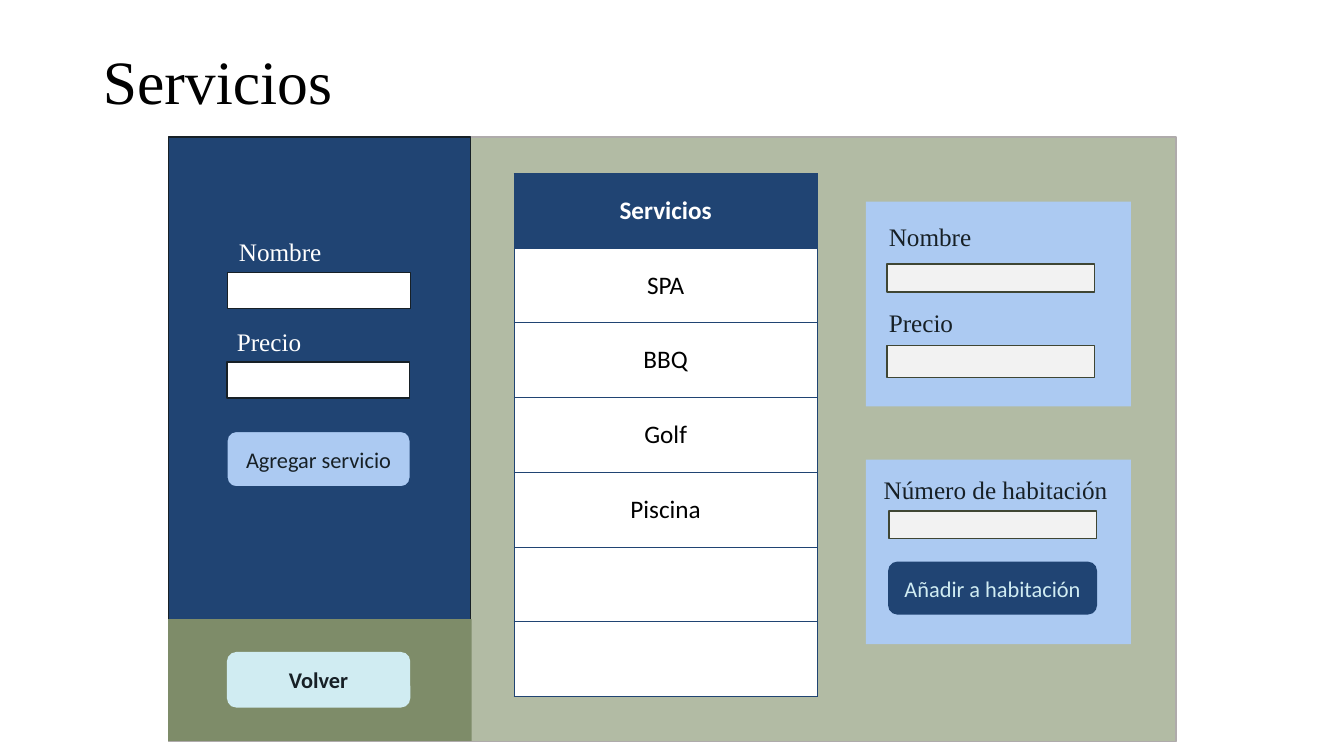
"""Builds the services screen mock-up slide."""
import pptx
import pptx.dml.color
import pptx.enum.shapes
import pptx.enum.text
import pptx.oxml
import pptx.oxml.ns
import pptx.util
from pptx.util import Cm, Pt

COLORS = {
    "sage": "B2BBA4", "grey": "AFABAB", "sky": "ACCAF2", "navy": "204473",
    "ink": "172026", "white": "FFFFFF", "black": "000000", "olive": "7E8C69",
    "ice": "D0ECF2", "pale": "F2F2F2", "moss": "3F4634",
}
RECT = pptx.enum.shapes.MSO_SHAPE.RECTANGLE
ROUNDED = pptx.enum.shapes.MSO_SHAPE.ROUNDED_RECTANGLE
MIDDLE = pptx.enum.text.MSO_ANCHOR.MIDDLE
CENTER = pptx.enum.text.PP_ALIGN.CENTER
SERIF, SANS = "Times New Roman", "Calibri"


def add_block(kind, box, fill, line=None):
    block = slide.shapes.add_shape(kind, *map(Cm, box))
    block.shadow.inherit = False
    block.fill.solid()
    block.fill.fore_color.rgb = pptx.dml.color.RGBColor.from_string(COLORS[fill])
    if line:
        block.line.color.rgb = pptx.dml.color.RGBColor.from_string(COLORS[line])
        block.line.width = Pt(1)
    else:
        block.line.fill.background()
    return block


def write(frame, text, font, size, color, bold=False, align=None):
    frame.text = text
    paragraph = frame.paragraphs[0]
    paragraph.alignment = align
    for run in paragraph.runs:
        run.font.name = font
        run.font.size = Pt(size)
        run.font.bold = bold
        run.font.color.rgb = pptx.dml.color.RGBColor.from_string(COLORS[color])
    return paragraph


presentation = pptx.Presentation()
presentation.slide_width = Cm(33.87)
presentation.slide_height = Cm(19.05)
slide = presentation.slides.add_slide(presentation.slide_layouts[5])

heading = slide.shapes.title
heading.left, heading.top, heading.width, heading.height = map(Cm, (2.34, 1.02, 29.21, 2.24))
heading.text_frame.auto_size = pptx.enum.text.MSO_AUTO_SIZE.NONE
heading.text_frame.vertical_anchor = MIDDLE
heading_line = write(heading.text_frame, "Servicios", SERIF, 44, "black",
                     align=pptx.enum.text.PP_ALIGN.LEFT)
heading_line.line_spacing = 0.9

panels = [
    ((4.24, 3.45, 25.4, 15.24), "sage", "grey"),
    ((4.24, 3.45, 7.62, 12.17), "navy", "ink"),
    ((4.24, 15.6, 7.65, 3.07), "olive", None),
    ((21.82, 5.08, 6.68, 5.16), "sky", None),
    ((21.82, 11.58, 6.68, 4.65), "sky", None),
]
for box, fill, line in panels:
    add_block(RECT, box, fill, line)

fields = [
    ((5.74, 6.86, 4.6, 0.91), "white", "ink"),
    ((5.72, 9.12, 4.6, 0.91), "white", "ink"),
    ((22.35, 6.65, 5.23, 0.71), "pale", "moss"),
    ((22.35, 8.71, 5.23, 0.81), "pale", "moss"),
    ((22.4, 12.88, 5.23, 0.69), "pale", "moss"),
]
for box, fill, line in fields:
    add_block(RECT, box, fill, line)

labels = [
    ("Nombre", 5.77, 5.84, 2.97, "white"),
    ("Precio", 5.72, 8.1, 4.11, "white"),
    ("Nombre", 22.15, 5.46, 4.14, "ink"),
    ("Precio", 22.15, 7.62, 2.77, "ink"),
    ("Número de habitación", 22.02, 11.84, 6.35, "ink"),
]
for text, left, top, width, color in labels:
    label = slide.shapes.add_textbox(Cm(left), Cm(top), Cm(width), Cm(1.02))
    label.text_frame.word_wrap = True
    label.text_frame.auto_size = pptx.enum.text.MSO_AUTO_SIZE.SHAPE_TO_FIT_TEXT
    write(label.text_frame, text, SERIF, 18, color).space_after = Pt(6)

buttons = [
    ("Agregar servicio", (5.72, 10.87, 4.62, 1.4), "sky", "navy", "ink", False),
    ("Volver", (5.72, 16.43, 4.62, 1.4), "ice", None, "ink", True),
    ("Añadir a habitación", (22.4, 14.17, 5.23, 1.3), "navy", "navy", "ice", False),
]
for text, box, fill, line, color, bold in buttons:
    button = add_block(ROUNDED, box, fill, line)
    button.text_frame.vertical_anchor = MIDDLE
    write(button.text_frame, text, SANS, 16, color, bold, CENTER)

services = ["Servicios", "SPA", "BBQ", "Golf", "Piscina", "", ""]
service_table = slide.shapes.add_table(
    len(services), 1, Cm(12.95), Cm(4.37), Cm(7.65), Cm(13.18)).table
for index, service in enumerate(services):
    is_header = index == 0
    service_table.rows[index].height = Cm(13.18 / len(services))
    cell = service_table.cell(index, 0)
    cell.vertical_anchor = MIDDLE
    write(cell.text_frame, service, SANS, 18, "white" if is_header else "black",
          is_header, CENTER)
    properties = cell._tc.get_or_add_tcPr()
    for side in ("lnL", "lnR", "lnT", "lnB"):
        properties.append(pptx.oxml.parse_xml(
            f'<a:{side} {pptx.oxml.ns.nsdecls("a")} w="{Pt(0.5)}"><a:solidFill>'
            f'<a:srgbClr val="{COLORS["navy"]}"/></a:solidFill></a:{side}>'))
    cell.fill.solid()
    cell.fill.fore_color.rgb = pptx.dml.color.RGBColor.from_string(
        COLORS["navy" if is_header else "white"])

presentation.save("out.pptx")
